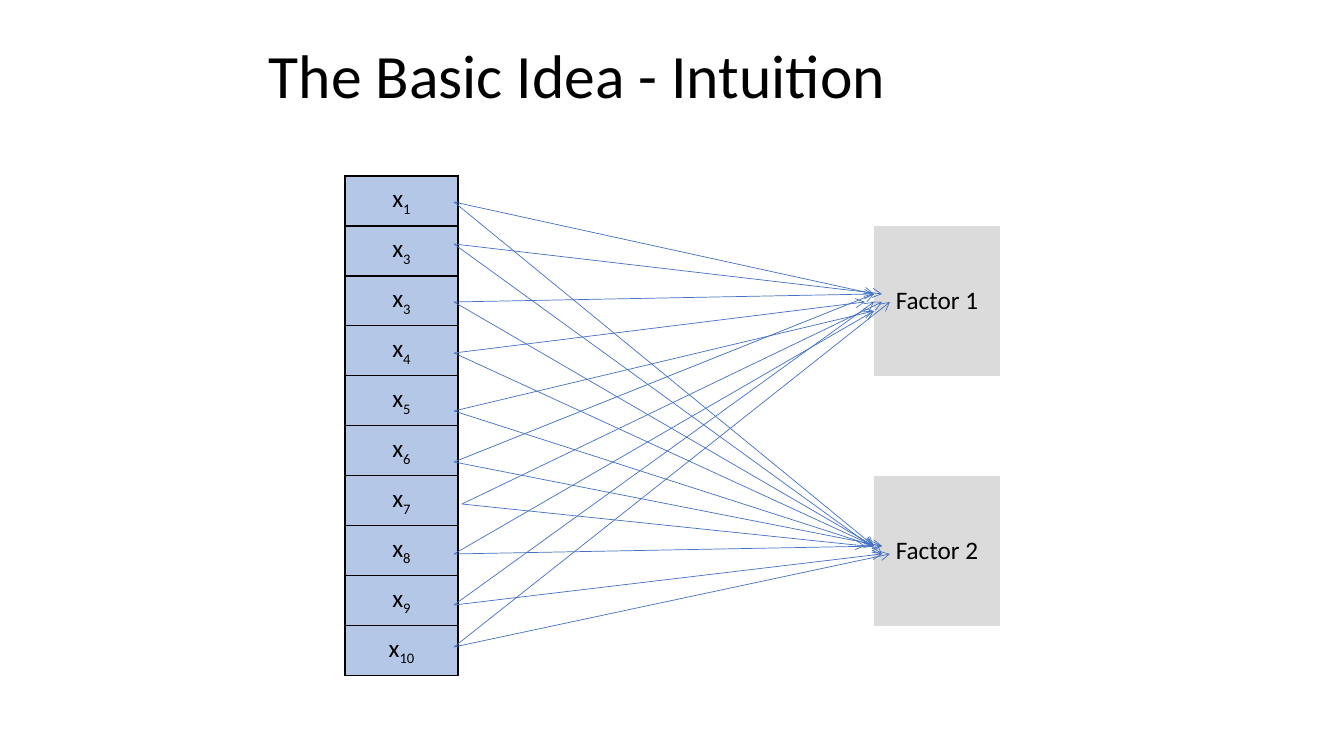
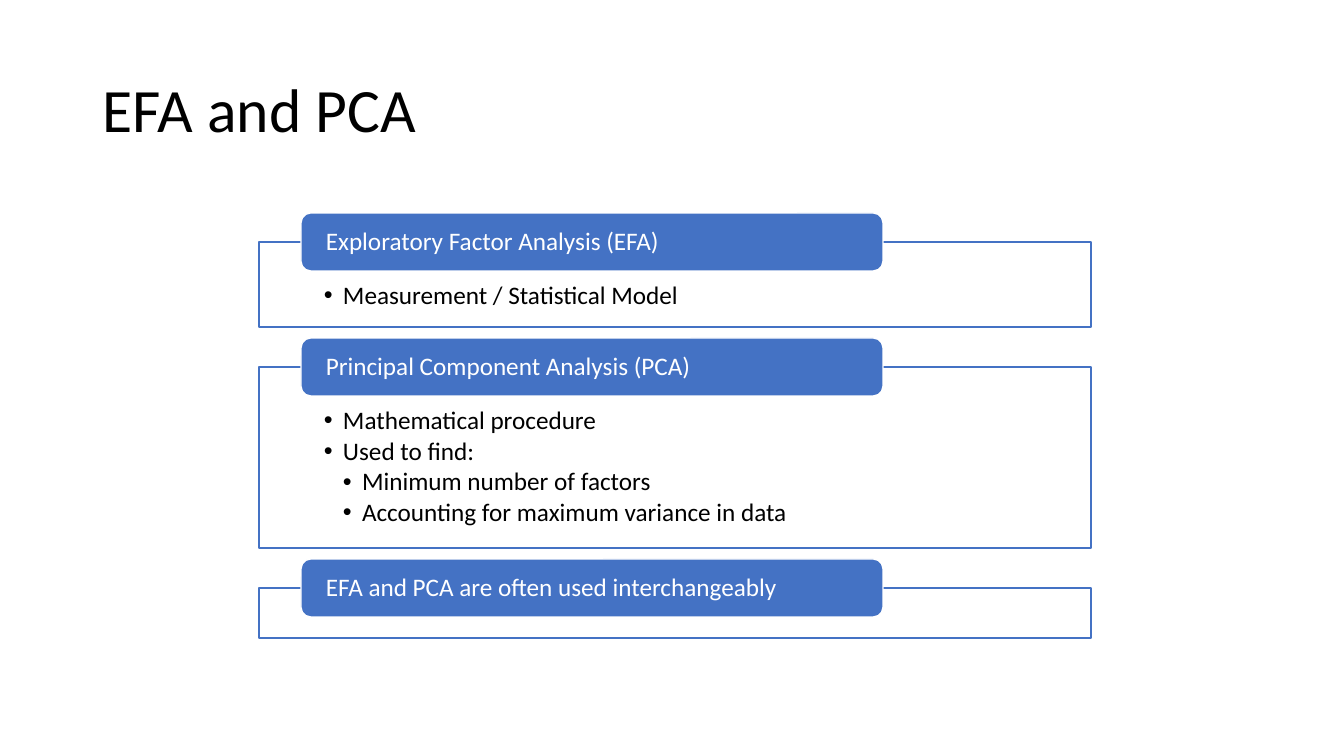
from lxml.etree import SubElement
from pptx import Presentation
from pptx.dml.color import RGBColor
from pptx.enum.shapes import MSO_CONNECTOR, MSO_SHAPE
from pptx.enum.text import MSO_ANCHOR, PP_ALIGN
from pptx.oxml.ns import qn
from pptx.util import Emu, Pt

PX = 914400 / 100.8
FONT = "Calibri"
COLORS = {
    "text": "000000",
    "white": "FFFFFF",
    "blue": "4472C4",
    "variable": "B4C7E7",
    "factor": "DBDBDB",
}


def px(*lengths):
    return [Emu(round(length * PX)) for length in lengths]


def add_run(paragraph, text, size=18, color="text", subscript=False):
    run = paragraph.add_run()
    run.text = text
    run.font.name = FONT
    run.font.size = Pt(size)
    run.font.color.rgb = RGBColor.from_string(COLORS[color])
    if subscript:
        run.font._element.set("baseline", "-25000")


prs = Presentation()
prs.slide_width, prs.slide_height = px(1344, 756)

# Slides and their titles
slides = []
for title, box in [
    ("The Basic Idea - Intuition", (259, 31, 832, 95)),
    ("EFA and PCA", (93, 40, 1159, 146)),
]:
    slide = prs.slides.add_slide(prs.slide_layouts[6])
    frame = slide.shapes.add_textbox(*px(*box)).text_frame
    frame.word_wrap = True
    frame.vertical_anchor = MSO_ANCHOR.MIDDLE
    frame.paragraphs[0].line_spacing = 0.9
    add_run(frame.paragraphs[0], title, size=44)
    slides.append(slide)
intuition, comparison = slides

# Table of variables and factors
ROW_HEIGHT = 50
COLUMN_WIDTHS = (113, 416, 126)
SUBSCRIPTS = ["1", "3", "3", "4", "5", "6", "7", "8", "9", "10"]
FACTORS = [("Factor 1", 1), ("Factor 2", 6)]

table = intuition.shapes.add_table(
    len(SUBSCRIPTS), len(COLUMN_WIDTHS),
    *px(345, 176, sum(COLUMN_WIDTHS), ROW_HEIGHT * len(SUBSCRIPTS))
).table
table.first_row = table.horz_banding = False
# "No Style, No Grid"
table._tbl.tblPr.find(qn("a:tableStyleId")).text = "{2D5ABB26-0587-4C30-8999-92F81FD0307C}"
for column, width in zip(table.columns, px(*COLUMN_WIDTHS)):
    column.width = width
for row in table.rows:
    row.height = px(ROW_HEIGHT)[0]
for cell in table.iter_cells():
    cell.fill.background()
    cell.vertical_anchor = MSO_ANCHOR.MIDDLE
    cell.text_frame.paragraphs[0].alignment = PP_ALIGN.CENTER

for index, subscript in enumerate(SUBSCRIPTS):
    variable = table.cell(index, 0)
    cell_props = variable._tc.get_or_add_tcPr()
    for position, side in enumerate(("a:lnL", "a:lnR", "a:lnT", "a:lnB")):
        border = SubElement(cell_props, qn(side), w=str(Pt(1)))
        cell_props.insert(position, border)
        border_fill = SubElement(border, qn("a:solidFill"))
        SubElement(border_fill, qn("a:srgbClr"), val=COLORS["text"])
    variable.fill.solid()
    variable.fill.fore_color.rgb = RGBColor.from_string(COLORS["variable"])
    paragraph = variable.text_frame.paragraphs[0]
    add_run(paragraph, "x")
    add_run(paragraph, subscript, subscript=True)

for name, first_row in FACTORS:
    factor = table.cell(first_row, 2)
    factor.merge(table.cell(first_row + 2, 2))
    factor.fill.solid()
    factor.fill.fore_color.rgb = RGBColor.from_string(COLORS["factor"])
    add_run(factor.text_frame.paragraphs[0], name)

# Arrows: start of each variable, then its ends at factor 1 and factor 2
ARROWS = [
    ((454, 202), (874, 294), (874, 546)),
    ((454, 244), (882, 294), (882, 554)),
    ((454, 302), (874, 294), (874, 546)),
    ((454, 353), (865, 302), (874, 546)),
    ((454, 411), (874, 311), (874, 546)),
    ((454, 462), (874, 294), (882, 546)),
    ((462, 504), (882, 302), (865, 546)),
    ((454, 554), (874, 311), (882, 546)),
    ((454, 605), (874, 302), (882, 554)),
    ((454, 647), (890, 302), (890, 554)),
]
for start, *ends in ARROWS:
    for end in ends:
        arrow = intuition.shapes.add_connector(MSO_CONNECTOR.STRAIGHT, *px(*start, *end))
        arrow.line.width = Pt(0.5)
        arrow.line.color.rgb = RGBColor.from_string(COLORS["blue"])
        arrow_props = arrow.element.spPr
        SubElement(arrow_props.find(qn("a:ln")), qn("a:tailEnd"), type="arrow")
        SubElement(arrow_props, qn("a:effectLst"))

# Sections: heading, body height, bullets with their level
SECTIONS = [
    ("Exploratory Factor Analysis (EFA)", 85, [("Measurement / Statistical Model", 1)]),
    ("Principal Component Analysis (PCA)", 181, [
        ("Mathematical procedure", 1),
        ("Used to find:", 1),
        ("Minimum number of factors", 2),
        ("Accounting for maximum variance in data", 2),
    ]),
    ("EFA and PCA are often used interchangeably", 50, []),
]
HEADING_HEIGHT, SECTION_GAP, BULLET_INDENT = 58, 11, 19

top = 213
for heading, body_height, bullets in SECTIONS:
    body_top = top + HEADING_HEIGHT // 2
    body = comparison.shapes.add_shape(
        MSO_SHAPE.RECTANGLE, *px(259, body_top, 832, body_height))
    label = comparison.shapes.add_shape(
        MSO_SHAPE.ROUNDED_RECTANGLE, *px(301, top, 582, HEADING_HEIGHT))
    for part, fill, line, anchor, insets in [
        (body, "white", "blue", MSO_ANCHOR.TOP, (65, 41, 65, 14)),
        (label, "blue", "white", MSO_ANCHOR.MIDDLE, (22, 0, 22, 0)),
    ]:
        part.shadow.inherit = False
        part.fill.solid()
        part.fill.fore_color.rgb = RGBColor.from_string(COLORS[fill])
        part.line.color.rgb = RGBColor.from_string(COLORS[line])
        part.line.width = Pt(1)
        frame = part.text_frame
        frame.word_wrap = True
        frame.vertical_anchor = anchor
        (frame.margin_left, frame.margin_top,
         frame.margin_right, frame.margin_bottom) = px(*insets)
    body_color = body.element.spPr.find(qn("a:solidFill"))[0]
    SubElement(body_color, qn("a:alpha"), val="90000")

    paragraph = label.text_frame.paragraphs[0]
    paragraph.alignment = PP_ALIGN.LEFT
    paragraph.line_spacing = 0.9
    add_run(paragraph, heading, color="white")

    for index, (text, level) in enumerate(bullets):
        frame = body.text_frame
        paragraph = frame.add_paragraph() if index else frame.paragraphs[0]
        paragraph.alignment = PP_ALIGN.LEFT
        paragraph.level = level
        paragraph.line_spacing = 0.9
        paragraph.space_after = Pt(2.4)
        margin, indent = px(BULLET_INDENT * level, -BULLET_INDENT)
        paragraph_props = paragraph._p.get_or_add_pPr()
        paragraph_props.set("marL", str(margin))
        paragraph_props.set("indent", str(indent))
        SubElement(paragraph_props, qn("a:buFont"), typeface="Arial")
        SubElement(paragraph_props, qn("a:buChar"), char="•")
        add_run(paragraph, text)

    top = body_top + body_height + SECTION_GAP

prs.save("out.pptx")
